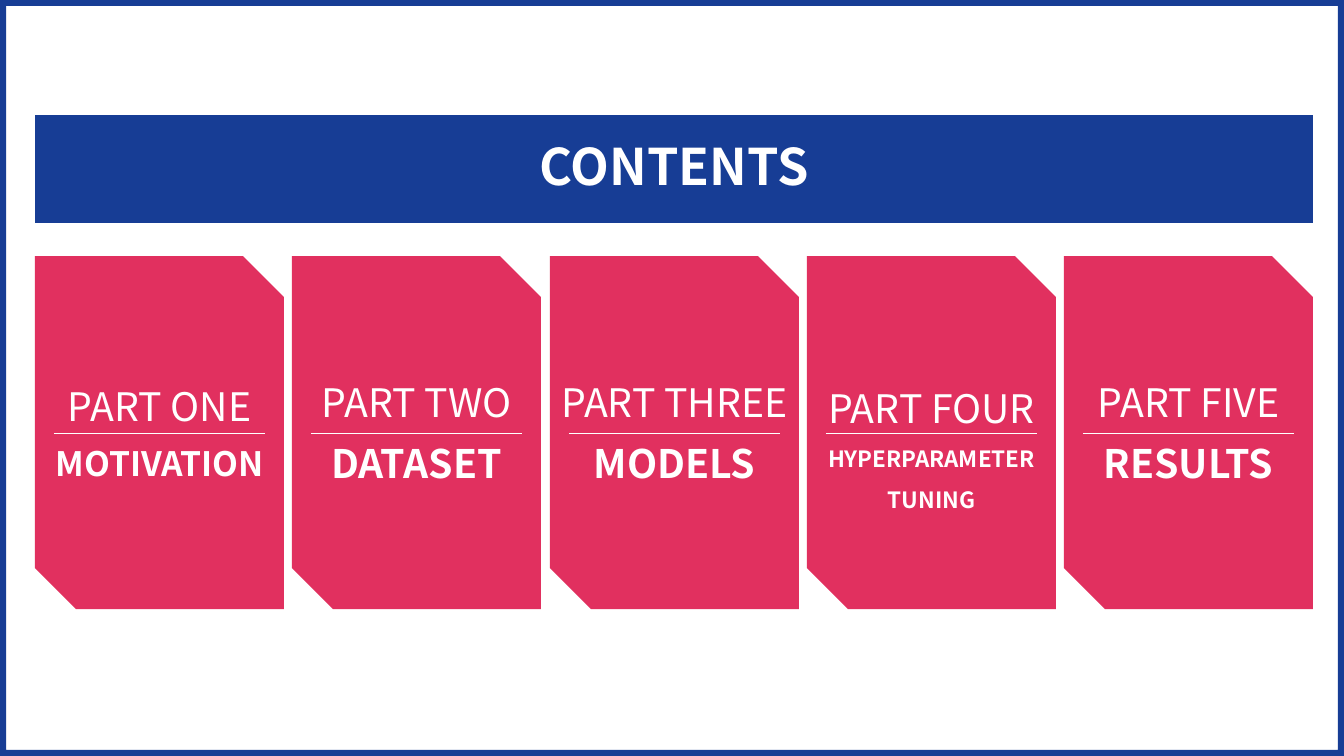
from pptx import Presentation
from pptx.dml.color import RGBColor
from pptx.enum.shapes import MSO_CONNECTOR, MSO_SHAPE
from pptx.enum.text import MSO_ANCHOR, PP_ALIGN
from pptx.oxml.ns import qn
from pptx.util import Pt
from lxml import etree

PX = 9144000 / 1008
BLUE = RGBColor(0x17, 0x3D, 0x95)
PINK = RGBColor(0xE1, 0x30, 0x5F)
WHITE = RGBColor(0xFF, 0xFF, 0xFF)
FONT = "Noto Sans CJK SC"


def px(*lengths):
    """Turn pixel lengths into EMU."""
    return [round(length * PX) for length in lengths]


def write_line(paragraph, text, size, bold):
    paragraph.text = text
    layout = {"alignment": PP_ALIGN.CENTER, "space_before": Pt(10)}
    for key, value in layout.items():
        setattr(paragraph, key, value)
    for key, value in {"name": FONT, "size": Pt(size), "bold": bold}.items():
        setattr(paragraph.font, key, value)
    paragraph.font.color.rgb = WHITE


prs = Presentation()
prs.slide_width, prs.slide_height = px(1344, 756)
slide = prs.slides.add_slide(prs.slide_layouts[5])
shapes = slide.shapes

border = shapes.add_shape(MSO_SHAPE.FRAME, *px(0, 0, 1344, 756))
border.adjustments[0] = 0.008
border.shadow.inherit = False
border.fill.solid()
border.fill.fore_color.rgb = BLUE
border.line.fill.background()

heading = shapes.title
heading.left, heading.top, heading.width, heading.height = px(35, 115, 1278, 108)
heading.fill.solid()
heading.fill.fore_color.rgb = BLUE
heading.text_frame.vertical_anchor = MSO_ANCHOR.MIDDLE
write_line(heading.text_frame.paragraphs[0], "CONTENTS", 36, True)
heading.text_frame.paragraphs[0].line_spacing = 0.9

# Part, topic lines, topic size, top inset
PARTS = [
    ("PART ONE", ["MOTIVATION"], 24, 0),
    ("PART TWO", ["DATASET"], 28, 0),
    ("PART THREE", ["MODELS"], 28, 0),
    ("PART FOUR", ["HYPERPARAMETER", "TUNING"], 16, 32),
    ("PART FIVE", ["RESULTS"], 28, 0),
]
CARD_TOP, CARD_WIDTH, CARD_HEIGHT, CUT = 256, 249, 353, 41
CARDS_LEFT, CARDS_RIGHT = 35, 1313
STEP = (CARDS_RIGHT - CARDS_LEFT - CARD_WIDTH) / (len(PARTS) - 1)
RULE_Y, RULE_INSET = 433, 19

for index, (part, topic_lines, topic_size, top_inset) in enumerate(PARTS):
    left = round(CARDS_LEFT + index * STEP)
    right, bottom = left + CARD_WIDTH, CARD_TOP + CARD_HEIGHT
    outline = shapes.build_freeform(left, CARD_TOP, scale=PX)
    outline.add_line_segments([
        (right - CUT, CARD_TOP), (right, CARD_TOP + CUT), (right, bottom),
        (left + CUT, bottom), (left, bottom - CUT),
    ])
    card = outline.convert_to_shape()
    card.shadow.inherit = False
    card.fill.solid()
    card.fill.fore_color.rgb = PINK
    card.line.fill.background()

    frame = card.text_frame
    frame_format = {
        "word_wrap": True, "vertical_anchor": MSO_ANCHOR.MIDDLE,
        "margin_left": 0, "margin_right": 0,
        "margin_top": px(top_inset)[0], "margin_bottom": 0,
    }
    for key, value in frame_format.items():
        setattr(frame, key, value)
    write_line(frame.paragraphs[0], part, 28, False)
    for topic_line in topic_lines:
        write_line(frame.add_paragraph(), topic_line, topic_size, True)

    rule = shapes.add_connector(
        MSO_CONNECTOR.STRAIGHT,
        *px(left + RULE_INSET, RULE_Y, right - RULE_INSET, RULE_Y))
    rule.line.color.rgb = WHITE
    rule.line.width = Pt(0.5)
    etree.SubElement(rule._element.spPr, qn("a:effectLst"))

prs.save("out.pptx")
